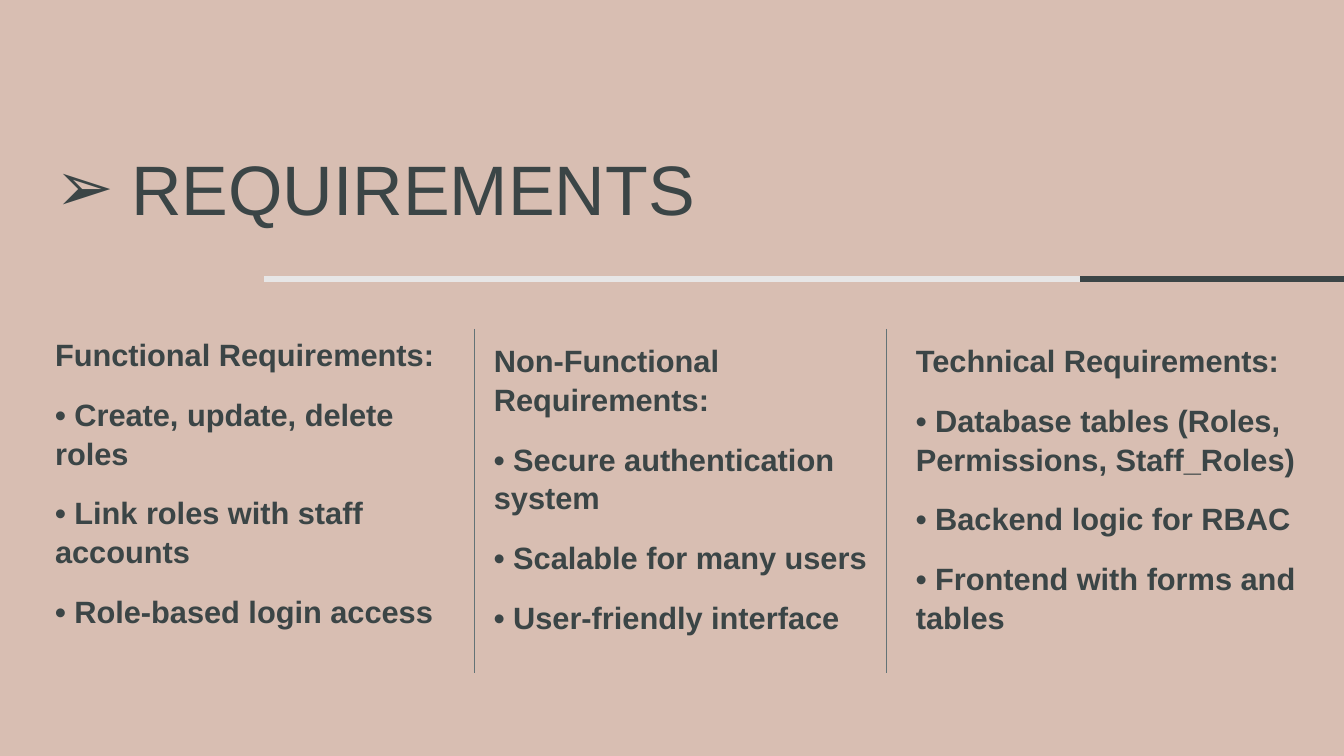
from dataclasses import dataclass

from lxml.etree import SubElement
from pptx import Presentation
from pptx.dml.color import RGBColor
from pptx.enum.shapes import MSO_CONNECTOR
from pptx.enum.text import MSO_ANCHOR, MSO_AUTO_SIZE, PP_ALIGN
from pptx.oxml.ns import qn
from pptx.util import Pt

TITLE = "REQUIREMENTS"
TITLE_BULLET = "➢"
TITLE_BOX = (45, 156, 827, 78)
TITLE_INDENT = 76

COLUMNS = [
    {
        "box": (45, 329, 427, 364),
        "heading": "Functional Requirements:",
        "items": [
            "Create, update, delete roles",
            "Link roles with staff accounts",
            "Role-based login access",
        ],
    },
    {
        "box": (484, 335, 452, 297),
        "heading": "Non-Functional Requirements:",
        "items": [
            "Secure authentication system",
            "Scalable for many users",
            "User-friendly interface",
        ],
    },
    {
        "box": (906, 335, 405, 297),
        "heading": "Technical Requirements:",
        "items": [
            "Database tables (Roles, Permissions, Staff_Roles)",
            "Backend logic for RBAC",
            "Frontend with forms and tables",
        ],
    },
]

RULE_Y = 279
RULE_STOPS = (264, 1080, 1344)
DIVIDERS_X = (474, 886)
DIVIDER_TOP, DIVIDER_BOTTOM = 329, 673


@dataclass(frozen=True)
class Theme:
    font: str = "Arial"
    background: str = "D8BEB2"
    ink: str = "3B4546"
    pale: str = "E7E6E6"
    divider: str = "637376"
    title_size: float = 50
    body_size: float = 22
    paragraph_gap: float = 15
    rule_width: float = 4.5
    divider_width: float = 0.5


THEME = Theme()
EMU_PER_PX = 914400 / 100.8


def px(length):
    return round(length * EMU_PER_PX)


def place(shape, box):
    shape.left, shape.top, shape.width, shape.height = map(px, box)


def style_font(para, size, bold):
    para.font.name = THEME.font
    para.font.size = Pt(size)
    para.font.bold = bold
    para.font.color.rgb = RGBColor.from_string(THEME.ink)


def set_indent(para, margin, bullet=None):
    properties = para._p.get_or_add_pPr()
    properties.set("marL", str(px(margin)))
    properties.set("indent", str(px(-margin)))
    if bullet:
        SubElement(properties, qn("a:buFont")).set("typeface", THEME.font)
        SubElement(properties, qn("a:buChar")).set("char", bullet)
    else:
        SubElement(properties, qn("a:buNone"))


def add_line(page, start, end, color, width):
    line = page.shapes.add_connector(MSO_CONNECTOR.STRAIGHT, *map(px, start + end))
    line.line.color.rgb = RGBColor.from_string(color)
    line.line.width = Pt(width)
    SubElement(line._element.spPr, qn("a:effectLst"))


def fill_title(shape):
    place(shape, TITLE_BOX)
    frame = shape.text_frame
    frame.text = TITLE
    frame.auto_size = MSO_AUTO_SIZE.NONE
    frame.vertical_anchor = MSO_ANCHOR.BOTTOM
    para = frame.paragraphs[0]
    para.alignment = PP_ALIGN.LEFT
    para.line_spacing = 0.8
    set_indent(para, TITLE_INDENT, TITLE_BULLET)
    style_font(para, THEME.title_size, False)


def fill_column(shape, column, auto_size):
    place(shape, column["box"])
    frame = shape.text_frame
    frame.text = "\n".join([column["heading"]] + [f"• {item}" for item in column["items"]])
    frame.word_wrap = True
    frame.auto_size = auto_size
    frame.vertical_anchor = MSO_ANCHOR.TOP
    for para in frame.paragraphs:
        para.alignment = PP_ALIGN.LEFT
        para.line_spacing = 1.05
        para.space_before = Pt(0)
        para.space_after = Pt(THEME.paragraph_gap)
        set_indent(para, 0)
        style_font(para, THEME.body_size, True)


def main():
    deck = Presentation()
    deck.slide_width, deck.slide_height = px(1344), px(756)
    page = deck.slides.add_slide(deck.slide_layouts[1])
    page.background.fill.solid()
    page.background.fill.fore_color.rgb = RGBColor.from_string(THEME.background)

    for left, right, color in zip(RULE_STOPS, RULE_STOPS[1:], (THEME.pale, THEME.ink)):
        add_line(page, (left, RULE_Y), (right, RULE_Y), color, THEME.rule_width)

    fill_title(page.shapes.title)
    fill_column(page.placeholders[1], COLUMNS[0], MSO_AUTO_SIZE.NONE)
    for column in COLUMNS[1:]:
        box = page.shapes.add_textbox(*map(px, column["box"]))
        fill_column(box, column, MSO_AUTO_SIZE.SHAPE_TO_FIT_TEXT)

    for x in DIVIDERS_X:
        add_line(page, (x, DIVIDER_TOP), (x, DIVIDER_BOTTOM), THEME.divider, THEME.divider_width)

    deck.save("out.pptx")


if __name__ == "__main__":
    main()
